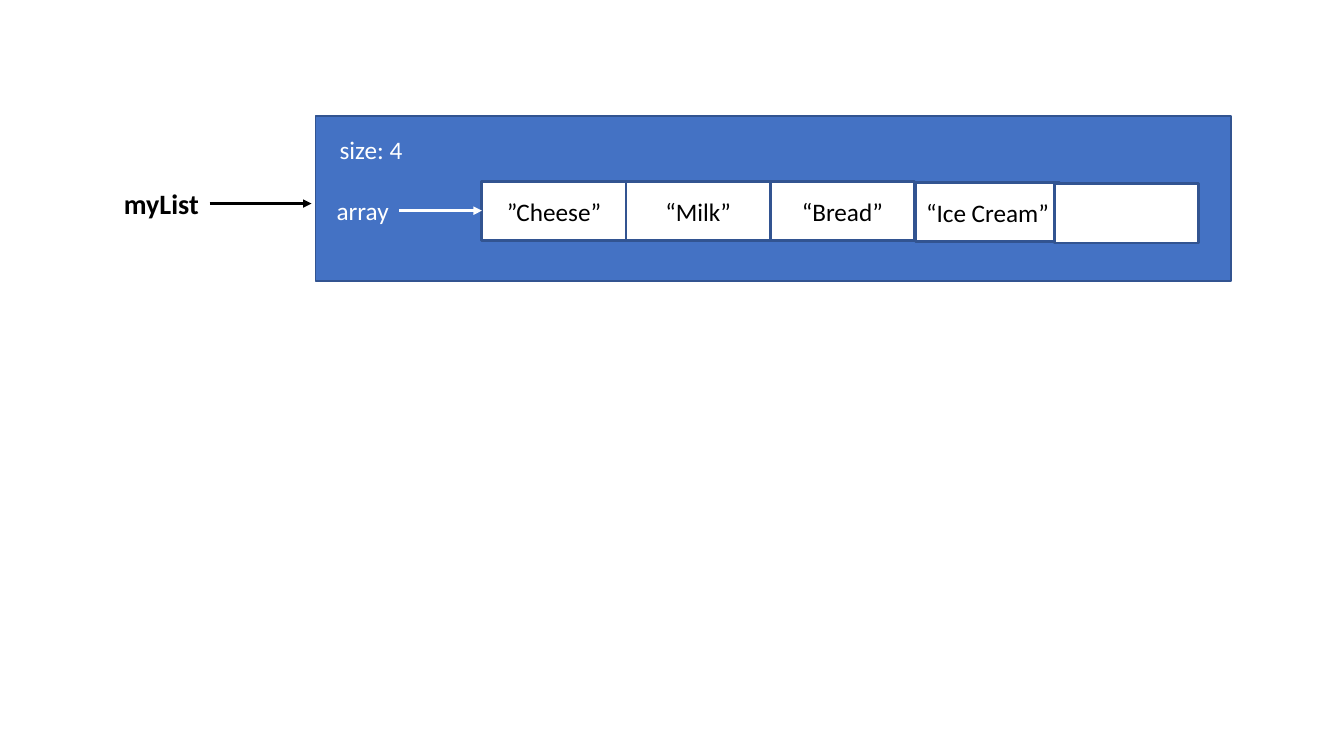
import pptx
import pptx.dml.color
import pptx.enum.shapes
import pptx.enum.text
import pptx.oxml
import pptx.oxml.ns
import pptx.util

Inches = pptx.util.Inches
Pt = pptx.util.Pt
RGBColor = pptx.dml.color.RGBColor
PP_ALIGN = pptx.enum.text.PP_ALIGN
MSO_ANCHOR = pptx.enum.text.MSO_ANCHOR

BLACK = RGBColor(0x00, 0x00, 0x00)
WHITE = RGBColor(0xFF, 0xFF, 0xFF)
BLUE = RGBColor(0x44, 0x72, 0xC4)
DARK_BLUE = RGBColor(0x32, 0x54, 0x91)

CELL_LEFT, CELL_WIDTH, CELL_HEIGHT = 4.78, 1.43, 0.59
CELLS = [
    ("”Cheese”", 4.78, 1.8),
    ("“Milk”", 4.78 + CELL_WIDTH, 1.8),
    ("“Bread”", 4.78 + 2 * CELL_WIDTH, 1.8),
    ("“Ice Cream”", 9.08, 1.81),
    ("", 10.46, 1.82),
]


def write(tf, text, size=18, color=BLACK, bold=False, align=PP_ALIGN.LEFT):
    """Write one formatted line of text into a text frame."""
    p = tf.paragraphs[0]
    p.alignment = align
    r = p.add_run()
    r.text = text
    r.font.name = "Calibri"
    r.font.size = Pt(size)
    r.font.bold = bold
    r.font.color.rgb = color


def add_label(s, text, left, top, width, height, **fmt):
    """Add an unwrapped text label."""
    tf = s.shapes.add_textbox(
        Inches(left), Inches(top), Inches(width), Inches(height)).text_frame
    tf.word_wrap = False
    tf.auto_size = pptx.enum.text.MSO_AUTO_SIZE.SHAPE_TO_FIT_TEXT
    write(tf, text, **fmt)


def add_box(s, left, top, width, height, fill, line_width, text=""):
    """Add an outlined rectangle with optional centred text."""
    sp = s.shapes.add_shape(
        pptx.enum.shapes.MSO_SHAPE.RECTANGLE,
        Inches(left), Inches(top), Inches(width), Inches(height))
    sp.shadow.inherit = False
    sp.fill.solid()
    sp.fill.fore_color.rgb = fill
    sp.line.color.rgb = DARK_BLUE
    sp.line.width = Pt(line_width)
    if text:
        sp.text_frame.word_wrap = True
        sp.text_frame.vertical_anchor = MSO_ANCHOR.MIDDLE
        write(sp.text_frame, text, align=PP_ALIGN.CENTER)


def add_arrow(s, start, end, y, color):
    """Add a horizontal arrow pointing right."""
    sp = s.shapes.add_connector(
        pptx.enum.shapes.MSO_CONNECTOR.STRAIGHT,
        Inches(start), Inches(y), Inches(end), Inches(y))
    sp.line.color.rgb = color
    sp.line.width = Pt(2)
    nsdecls = pptx.oxml.ns.nsdecls("a")
    sp.line._get_or_add_ln().append(
        pptx.oxml.parse_xml(f'<a:tailEnd {nsdecls} type="triangle"/>'))
    sp._element.spPr.append(pptx.oxml.parse_xml(f"<a:effectLst {nsdecls}/>"))


def main():
    """Build the array list diagram and save it."""
    prs = pptx.Presentation()
    prs.slide_width, prs.slide_height = Inches(13.33), Inches(7.5)
    s = prs.slides.add_slide(prs.slide_layouts[6])
    add_label(s, "myList", 1.13, 1.8, 0.95, 0.44, size=20, bold=True)
    add_box(s, 3.13, 1.15, 9.08, 1.64, BLUE, 1)
    add_label(s, "size: 4", 3.27, 1.28, 0.83, 0.4, color=WHITE)
    add_label(s, "array", 3.24, 1.89, 0.72, 0.4, color=WHITE)
    for text, left, top in CELLS:
        add_box(s, left, top, CELL_WIDTH, CELL_HEIGHT, WHITE, 2, text)
    add_arrow(s, 3.96, CELL_LEFT, 2.09, WHITE)
    add_arrow(s, 2.08, 3.09, 2.02, BLACK)
    prs.save("out.pptx")


main()
